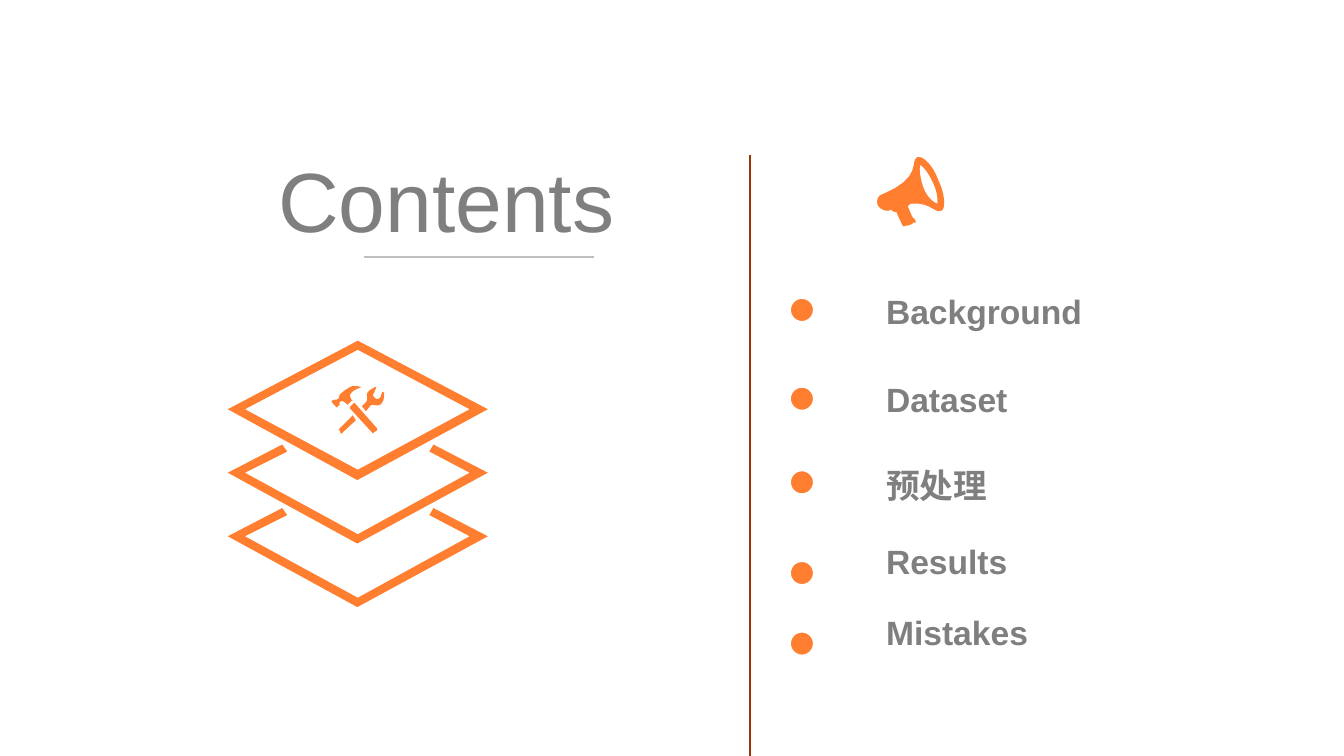
from lxml import etree
from pptx import Presentation
from pptx.dml.color import RGBColor
from pptx.enum.shapes import MSO_CONNECTOR, MSO_SHAPE
from pptx.enum.text import MSO_ANCHOR, MSO_AUTO_SIZE, PP_ALIGN
from pptx.oxml.ns import qn
from pptx.util import Pt

STRAIGHT = MSO_CONNECTOR.STRAIGHT
OVAL = MSO_SHAPE.OVAL
TOP = MSO_ANCHOR.TOP
NO_AUTOFIT = MSO_AUTO_SIZE.NONE
LEFT, RIGHT = PP_ALIGN.LEFT, PP_ALIGN.RIGHT

ORANGE = RGBColor(0xFF, 0x7E, 0x2F)
BROWN = RGBColor(0x9B, 0x34, 0x04)
GREY = RGBColor(0x7F, 0x7F, 0x7F)
SILVER = RGBColor(0xBF, 0xBF, 0xBF)
WHITE = RGBColor(0xFF, 0xFF, 0xFF)

ICON_UNIT = 0.72
CURVE_STEPS = 8
TRAY_STEP = 63

TITLE_FONT = {"name": "Arial", "size": Pt(60), "bold": False}
LIST_FONT = {"name": "Arial", "size": Pt(24), "bold": True}
FRAME_FORMAT = {"word_wrap": True, "auto_size": NO_AUTOFIT, "vertical_anchor": TOP}

TOPICS = [
    ("Background", 0, 212.4),
    ("Dataset", 35, 275.8),
    ("预处理", 33, 335.5),
    ("Results", 26.5, 400.3),
    ("Mistakes", 22.7, 450.7),
]

MEGAPHONE = [
    [(931, 179), (926, 165, 916, 154, 910, 156), (902, 160, 916, 176, 875, 193),
     (871, 194, 869, 199, 871, 204), (872, 206, 877, 210, 882, 209), (884, 208),
     (887, 212, 890, 209, 890, 212), (891, 215, 894, 220, 894, 221),
     (895, 223, 896, 226, 898, 224), (900, 224, 905, 223, 906, 221),
     (909, 221, 909, 220, 908, 219), (908, 217, 905, 216, 905, 215),
     (904, 213, 902, 208, 901, 206), (900, 205, 902, 202, 905, 202),
     (924, 201, 927, 212, 934, 209), (938, 208, 938, 193, 931, 179)],
    [(930, 202), (928, 202, 920, 197, 916, 186), (912, 175, 912, 164, 913, 164),
     (915, 164, 921, 171, 926, 182), (931, 193, 930, 201, 930, 202)],
]
TOP_LAYER = [
    [(355, 476), (484, 406), (355, 338), (226, 406), (354, 476)],
    [(355, 347), (466, 406), (355, 466), (243, 406)],
]
TRAY = [
    [(426, 448), (466, 469), (355, 530), (243, 469), (285, 448), (280, 441),
     (226, 469), (354, 539), (355, 539), (484, 469), (430, 441)],
]
TOOLS = [
    [(337, 399), (339, 397, 341, 398, 344, 401), (345, 402, 345, 401, 345, 401),
     (346, 401, 349, 397, 350, 397), (349, 397, 348, 396, 348, 395),
     (343, 388, 361, 384, 358, 384), (356, 383, 350, 383, 350, 383),
     (347, 384, 342, 387, 340, 389), (337, 391, 337, 392, 337, 392),
     (336, 393, 337, 395, 335, 396), (333, 397, 332, 396, 331, 397),
     (331, 397, 330, 397, 329, 398), (329, 399), (333, 403),
     (333, 404, 334, 404, 335, 404), (335, 403, 336, 402, 337, 402)],
    [(352, 400), (351, 400), (348, 403), (347, 404, 347, 404, 347, 405), (369, 429),
     (369, 430, 370, 430, 371, 429), (374, 427), (374, 426, 374, 425, 374, 425)],
    [(381, 390), (380, 388, 380, 389, 379, 389), (379, 390, 378, 392, 378, 393),
     (377, 395, 375, 397, 372, 395), (369, 392, 370, 391, 371, 390),
     (371, 389, 373, 386, 373, 385), (374, 385, 373, 384, 372, 384),
     (371, 385, 365, 387, 364, 391), (364, 394, 365, 397, 363, 399), (359, 403),
     (363, 408), (367, 403), (368, 402, 370, 401, 372, 402),
     (377, 403, 378, 401, 380, 398), (381, 396, 381, 391, 381, 390)],
    [(337, 425), (336, 426, 336, 427, 337, 427), (338, 430),
     (339, 430, 340, 430, 340, 429), (353, 417), (350, 412)],
]


def flatten(contour):
    """Turn corners and cubic curves into a list of plain points."""
    points = [contour[0]]
    for segment in contour[1:]:
        if len(segment) == 2:
            points.append(segment)
            continue
        controls = (points[-1], segment[:2], segment[2:4], segment[4:])
        for step in range(1, CURVE_STEPS + 1):
            t = step / CURVE_STEPS
            weights = ((1 - t) ** 3, 3 * t * (1 - t) ** 2, 3 * t * t * (1 - t), t ** 3)
            points.append(tuple(sum(weight * control[axis]
                                    for weight, control in zip(weights, controls))
                                for axis in (0, 1)))
    return points


def apply_format(target, values):
    """Set each named attribute on the target."""
    for name, value in values.items():
        setattr(target, name, value)


class SlideBuilder:
    """Hold the slide and its colours, and draw each kind of element."""

    def __init__(self, slide, accent, text_colour):
        """Keep the slide and the two main colours."""
        self.slide = slide
        self.accent = accent
        self.text_colour = text_colour

    def placeholder(self, index, box, lines, font_format, paragraph_format):
        """Place and fill a placeholder with (text, space before) lines."""
        shape = self.slide.placeholders[index]
        apply_format(shape, dict(zip(("left", "top", "width", "height"), map(Pt, box))))
        frame = shape.text_frame
        apply_format(frame, FRAME_FORMAT)
        frame.text = "\n".join(text for text, _ in lines)
        for paragraph, (_, space) in zip(frame.paragraphs, lines):
            apply_format(paragraph, {**paragraph_format, "space_before": Pt(space)})
            properties = paragraph._p.get_or_add_pPr()
            properties.set("marL", "0")
            properties.set("indent", "0")
            etree.SubElement(properties, qn("a:buNone"))
            font = paragraph.runs[0].font
            apply_format(font, font_format)
            font.color.rgb = self.text_colour

    def rule(self, start, end, colour):
        """Draw a straight line without a shadow."""
        connector = self.slide.shapes.add_connector(STRAIGHT, *map(Pt, start + end))
        connector.line.color.rgb = colour
        connector.line.width = Pt(1.75)
        etree.SubElement(connector._element.spPr, qn("a:effectLst"))

    def dot(self, left, top):
        """Draw a round list marker with a white rim."""
        shape = self.slide.shapes.add_shape(OVAL, Pt(left), Pt(top), Pt(18), Pt(18))
        shape.shadow.inherit = False
        shape.fill.solid()
        shape.fill.fore_color.rgb = self.accent
        shape.line.color.rgb = WHITE
        shape.line.width = Pt(2.25)

    def icon(self, contours, drop=0):
        """Draw filled contours as one shape, moved down by drop units."""
        outlines = [[(Pt(x * ICON_UNIT), Pt((y + drop) * ICON_UNIT))
                     for x, y in flatten(contour)] for contour in contours]
        builder = self.slide.shapes.build_freeform(*outlines[0][0])
        builder.add_line_segments(outlines[0][1:], close=True)
        for outline in outlines[1:]:
            builder.move_to(*outline[0])
            builder.add_line_segments(outline[1:], close=True)
        shape = builder.convert_to_shape()
        shape.shadow.inherit = False
        shape.fill.solid()
        shape.fill.fore_color.rgb = self.accent
        shape.line.fill.background()


def main():
    """Build the contents slide and save it."""
    presentation = Presentation()
    presentation.slide_width, presentation.slide_height = Pt(960), Pt(540)
    slide = presentation.slides.add_slide(presentation.slide_layouts[1])
    builder = SlideBuilder(slide, ORANGE, GREY)

    builder.placeholder(0, (140, 102.5, 306, 78), [("Contents", 0)],
                        TITLE_FONT, {"alignment": RIGHT})
    builder.placeholder(1, (625.7, 205, 286, 270),
                        [(text, space) for text, space, _ in TOPICS],
                        LIST_FONT, {"alignment": LEFT, "line_spacing": Pt(28)})

    builder.rule((535.7, 111), (535.7, 540), BROWN)
    builder.rule((260, 183.6), (424, 183.6), SILVER)
    for _, _, top in TOPICS:
        builder.dot(563.8, top)

    builder.icon(MEGAPHONE)
    builder.icon(TOP_LAYER)
    for level in range(2):
        builder.icon(TRAY, level * TRAY_STEP)
    builder.icon(TOOLS)

    presentation.save("out.pptx")


if __name__ == "__main__":
    main()
